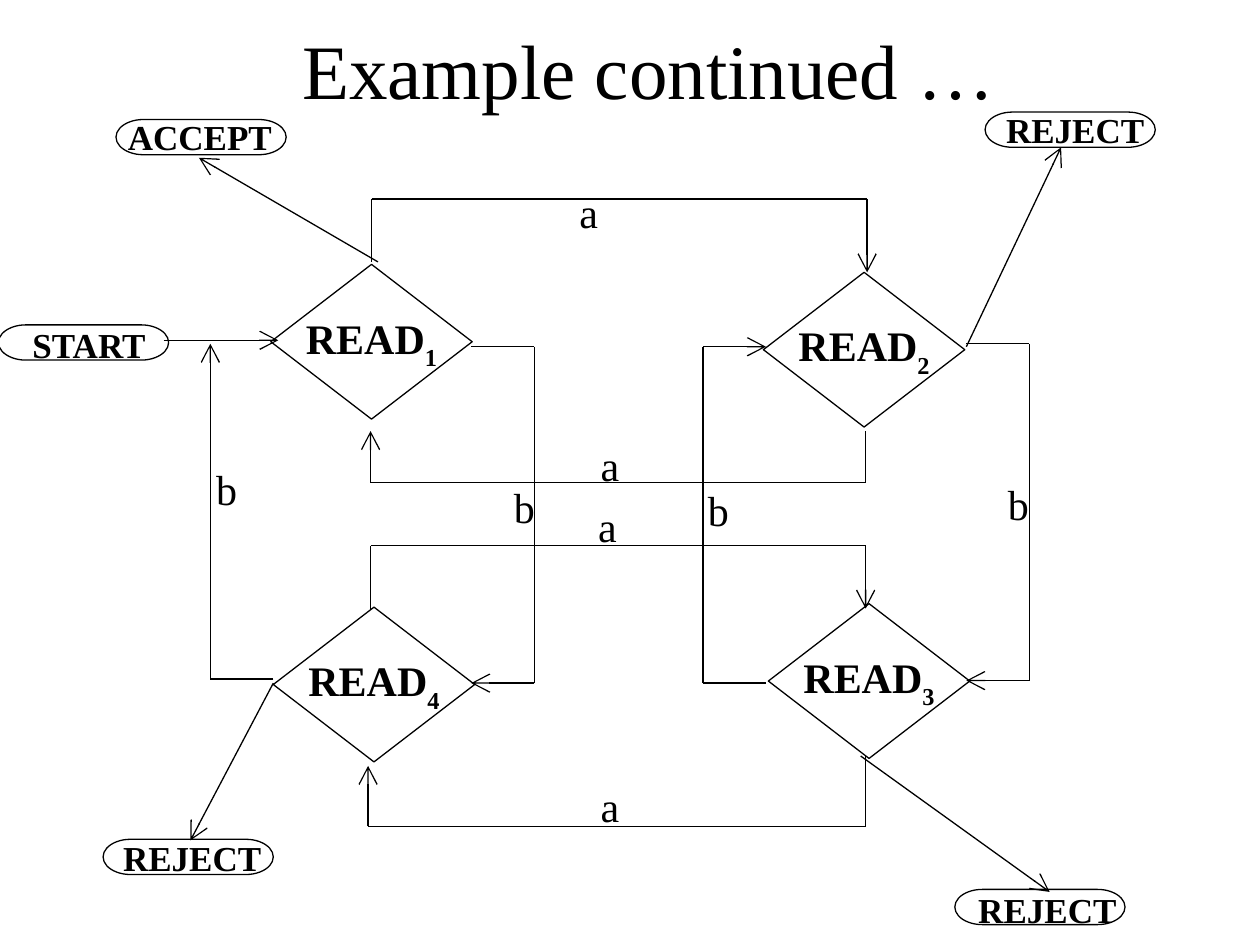
import itertools

import pptx
import pptx.dml.color
import pptx.enum.shapes
import pptx.enum.text
import pptx.oxml.ns
import pptx.oxml.xmlchemy
import pptx.util

Cm = pptx.util.Cm
Pt = pptx.util.Pt
SHAPES = pptx.enum.shapes.MSO_SHAPE
ALIGN = pptx.enum.text.PP_ALIGN

COLOURS = {"ink": "000000", "paper": "FFFFFF"}

# Points in cm; the last one carries the arrowhead.
ROUTES = [
    [(7.49, 5.28), (7.49, 4.01), (17.48, 4.01), (17.48, 5.49)],
    [(17.45, 15.24), (17.45, 16.66), (7.42, 16.66), (7.42, 15.44)],
    [(15.44, 13.77), (14.17, 13.77), (14.17, 6.99), (15.44, 6.99)],
    [(9.5, 6.99), (10.77, 6.99), (10.77, 13.77), (9.5, 13.77)],
    [(17.45, 8.69), (17.45, 9.73), (7.47, 9.73), (7.47, 8.69)],
    [(7.47, 12.27), (7.47, 11), (17.45, 11), (17.45, 12.27)],
    [(5.51, 13.69), (4.24, 13.69), (4.24, 6.93)],
    [(19.48, 6.93), (20.75, 6.93), (20.75, 13.72), (19.48, 13.72)],
    [(3.3, 6.86), (5.61, 6.86)],
    [(5.51, 13.77), (3.84, 16.94)],
    [(17.35, 15.24), (21.16, 17.98)],
    [(7.62, 5.28), (4.01, 3.18)],
    [(19.48, 6.99), (21.39, 2.97)],
]

EDGE_LABELS = {
    "a": [(11.43, 3.63), (11.86, 15.6), (11.86, 8.74), (11.81, 9.96)],
    "b": [(4.11, 9.22), (10.11, 9.58), (14.02, 9.65), (20.07, 9.53)],
}

READ_STATES = {
    "1": (5.46, 5.33),
    "2": (15.39, 5.49),
    "3": (15.49, 12.17),
    "4": (5.51, 12.24),
}

# Name, outline position, label position, label width
TERMINALS = [
    ("START", (-0.03, 6.55), (0.18, 6.4), 3.23),
    ("ACCEPT", (2.34, 2.41), (2.01, 2.21), 4.04),
    ("REJECT", (19.86, 2.26), (19.86, 2.06), 3.63),
    ("REJECT", (2.08, 16.92), (2.06, 16.74), 3.63),
    ("REJECT", (19.25, 17.93), (19.3, 17.78), 3.63),
]


class Diagram:
    """Holds the style and the slide being drawn."""

    font_name = "Times New Roman"
    line_width = Pt(0.75)

    def __init__(self, slide):
        self.slide = slide
        slide.background.fill.solid()
        slide.background.fill.fore_color.rgb = self.colour("paper")

    def colour(self, name):
        return pptx.dml.color.RGBColor.from_string(COLOURS[name])

    def style_paragraph(self, paragraph, size, bold=False, alignment=ALIGN.CENTER):
        paragraph.alignment = alignment
        font = paragraph.font
        font.name = self.font_name
        font.size = Pt(size)
        font.bold = bold
        font.color.rgb = self.colour("ink")

    def style_line(self, line):
        line.color.rgb = self.colour("ink")
        line.width = self.line_width

    def title(self, text):
        shape = self.slide.shapes.title
        shape.left, shape.top = Cm(2.29), Cm(0.23)
        shape.width, shape.height = Cm(21.59), Cm(2.31)
        frame = shape.text_frame
        frame.text = text
        frame.vertical_anchor = pptx.enum.text.MSO_ANCHOR.MIDDLE
        self.style_paragraph(frame.paragraphs[0], 44)

    def route(self, points):
        """Joins the points with straight lines, ending in an open arrow."""
        for start, end in itertools.pairwise(points):
            connector = self.slide.shapes.add_connector(
                pptx.enum.shapes.MSO_CONNECTOR.STRAIGHT,
                *(Cm(value) for value in start + end))
            self.style_line(connector.line)
            properties = connector._element.spPr
            properties.append(pptx.oxml.xmlchemy.OxmlElement("a:effectLst"))
        arrow = pptx.oxml.xmlchemy.OxmlElement("a:tailEnd")
        arrow.set("type", "arrow")
        arrow.set("w", "lg")
        arrow.set("len", "lg")
        properties.find(pptx.oxml.ns.qn("a:ln")).append(arrow)

    def label(self, text, position, width, height, size, **style):
        left, top = position
        box = self.slide.shapes.add_textbox(Cm(left), Cm(top), Cm(width), Cm(height))
        frame = box.text_frame
        frame.word_wrap = True
        frame.text = text
        self.style_paragraph(frame.paragraphs[0], size, **style)

    def outline(self, kind, position, width, height):
        left, top = position
        shape = self.slide.shapes.add_shape(kind, Cm(left), Cm(top), Cm(width), Cm(height))
        shape.shadow.inherit = False
        shape.fill.background()
        self.style_line(shape.line)
        return shape

    def read_state(self, number, position):
        shape = self.outline(SHAPES.FLOWCHART_DECISION, position, 4.06, 3.12)
        frame = shape.text_frame
        frame.word_wrap = False
        frame.vertical_anchor = pptx.enum.text.MSO_ANCHOR.MIDDLE
        paragraph = frame.paragraphs[0]
        paragraph.add_run().text = "READ"
        subscript = paragraph.add_run()
        subscript.text = number
        subscript.font._element.set("baseline", "-30000")
        self.style_paragraph(paragraph, 24, bold=True)

    def terminal(self, name, position, label_position, label_width):
        self.outline(SHAPES.FLOWCHART_TERMINATOR, position, 3.43, 0.71)
        self.label(name, label_position, label_width, 1.09, 20, bold=True)


def main():
    presentation = pptx.Presentation()
    presentation.slide_width = Cm(25.4)
    presentation.slide_height = Cm(19.05)
    title_only = presentation.slide_layouts[5]
    diagram = Diagram(presentation.slides.add_slide(title_only))

    diagram.title("Example continued …")
    for points in ROUTES:
        diagram.route(points)
    for text, positions in EDGE_LABELS.items():
        for position in positions:
            diagram.label(text, position, 1.47, 1.27, 24, alignment=ALIGN.LEFT)
    for number, position in READ_STATES.items():
        diagram.read_state(number, position)
    for terminal in TERMINALS:
        diagram.terminal(*terminal)

    presentation.save("out.pptx")


if __name__ == "__main__":
    main()
